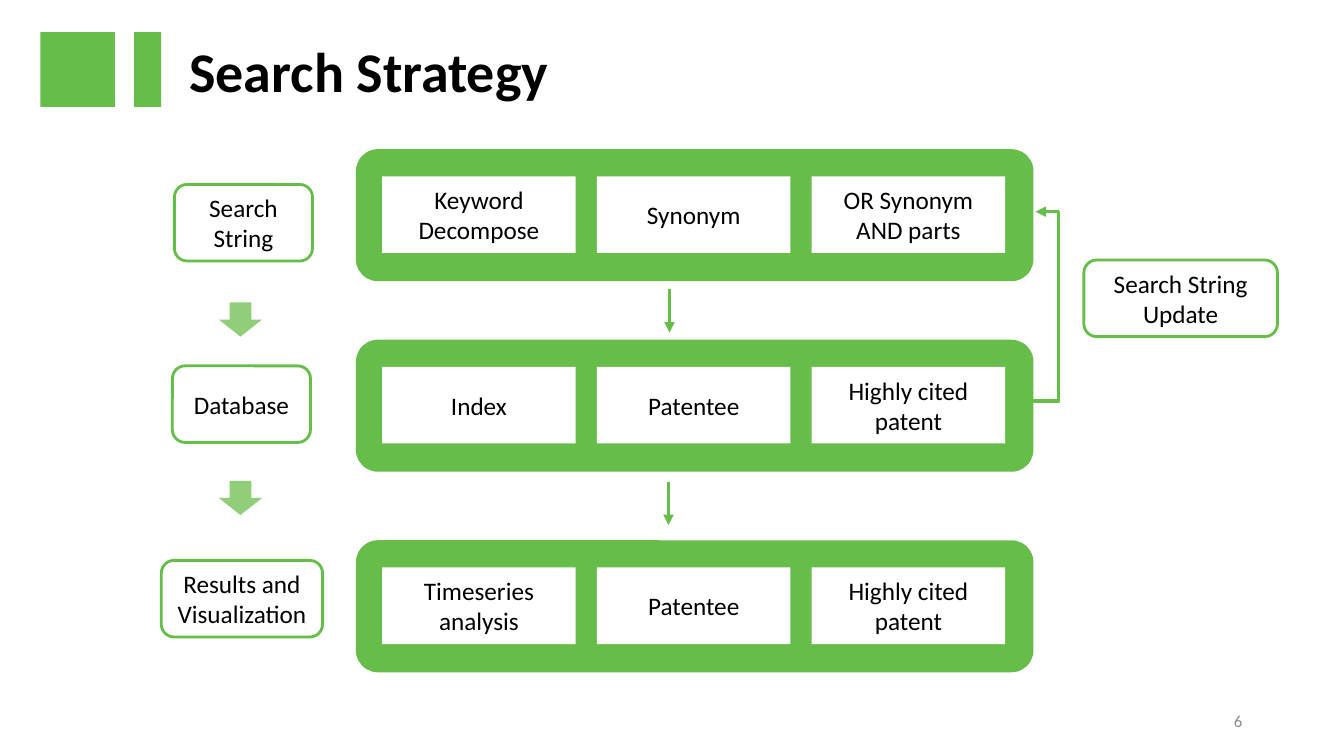
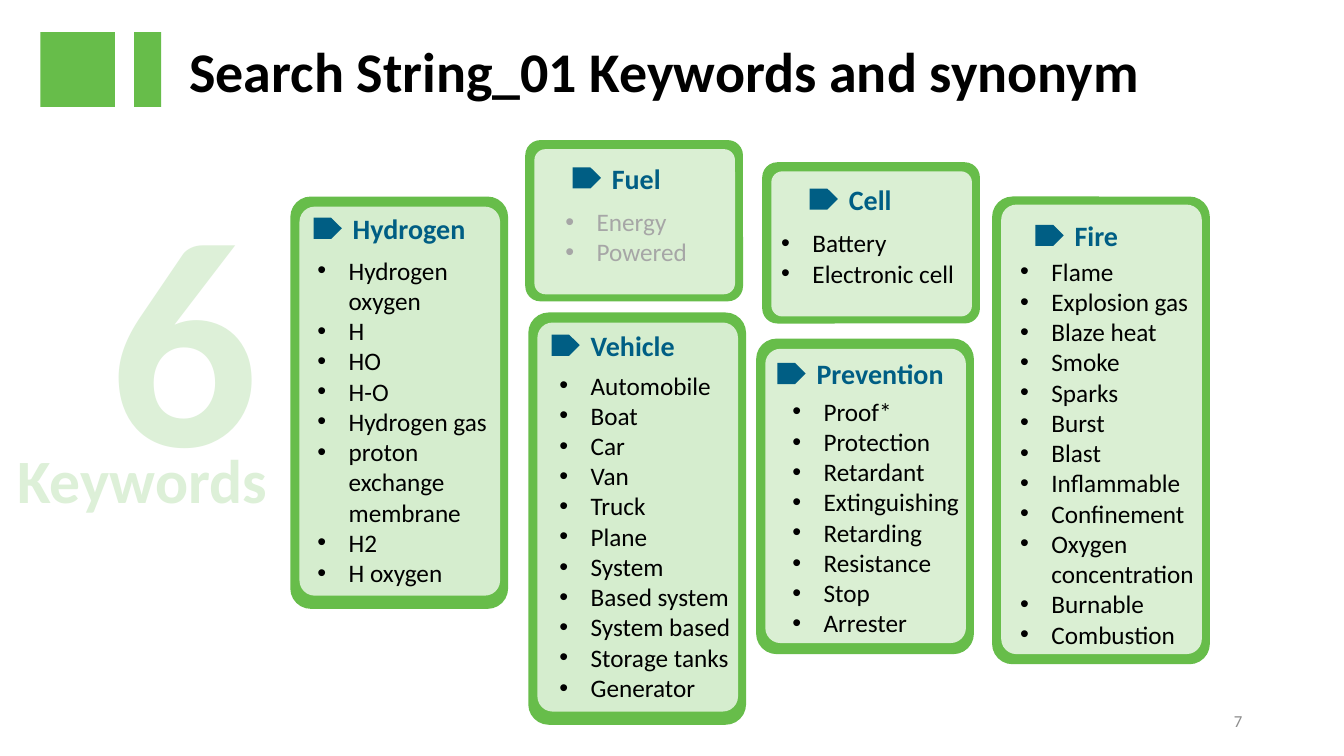
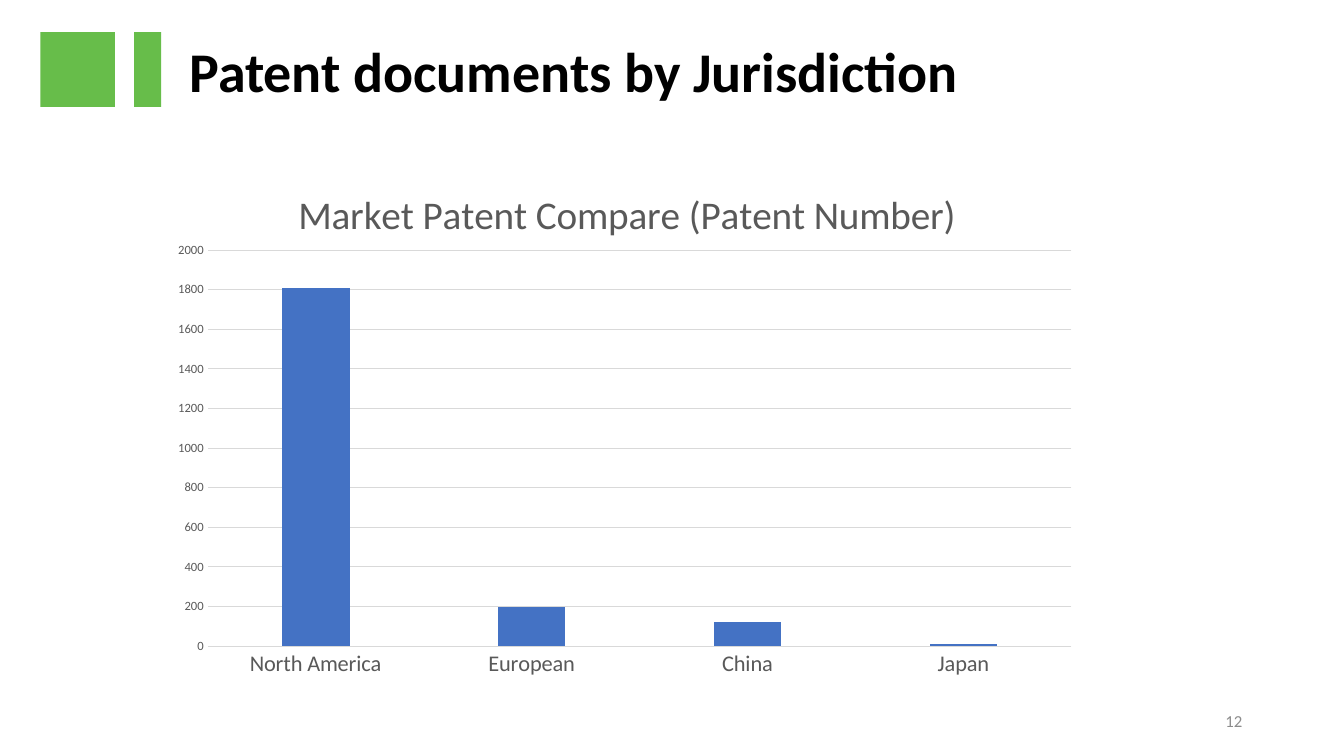
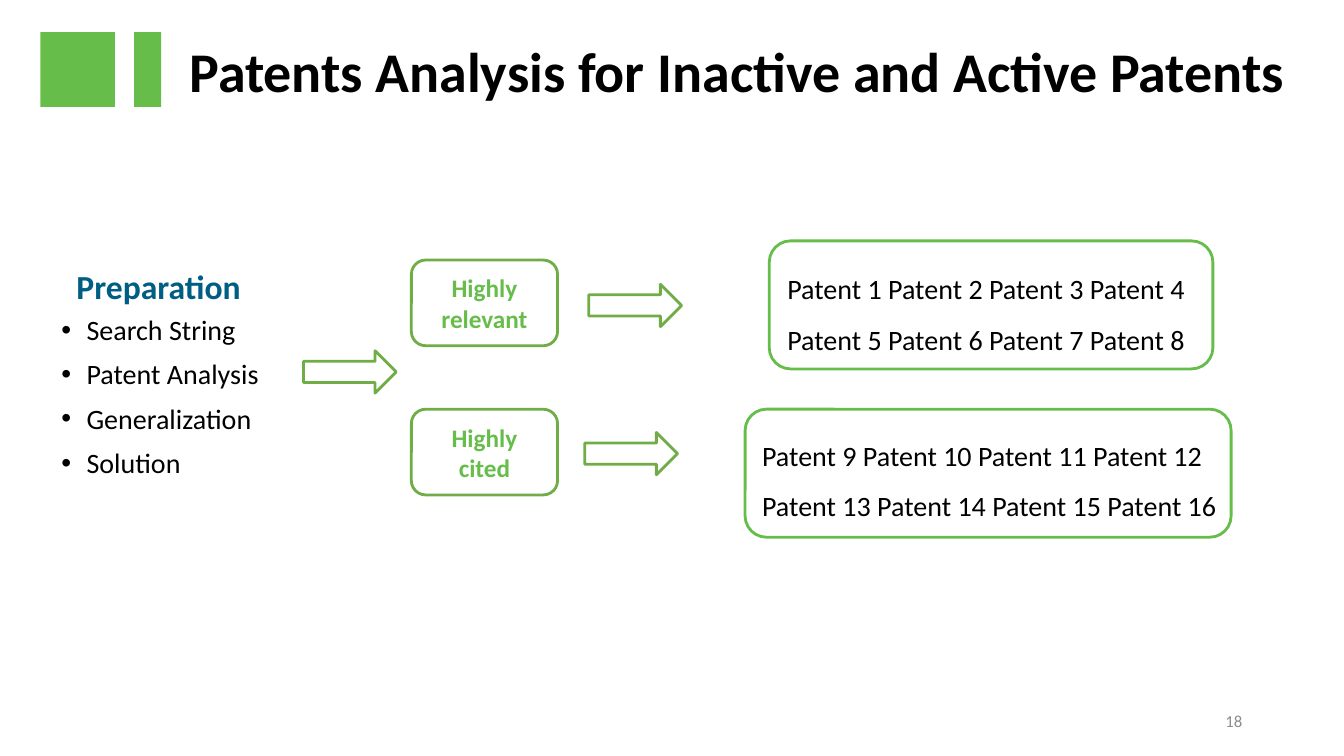
"""Build four slides on a patent search strategy and its results."""
from lxml import etree
from pptx import Presentation
from pptx.chart.data import CategoryChartData
from pptx.dml.color import RGBColor
from pptx.enum.chart import XL_CHART_TYPE as Kind, XL_TICK_MARK as Tick
from pptx.enum.shapes import MSO_CONNECTOR as Link, MSO_SHAPE as Form
from pptx.enum.text import MSO_ANCHOR as Anchor, PP_ALIGN as Align
from pptx.oxml.ns import qn
from pptx.util import Inches, Pt

FONT = "Calibri"
HUES = {
    "green": "67BD4A", "olive": "70AD47", "navy": "005E84", "white": "FFFFFF",
    "black": "000000", "pale": "DDF0D8", "faint": "A6A6A6", "page": "8C8C8C",
    "text": "595959", "grid": "D9D9D9", "bar": "4472C4",
}

STEPS = [
    (1.48, (1.73, 1.83, 1.37, 0.76), "Search String",
     ["Keyword Decompose", "Synonym", "OR Synonym AND parts"]),
    (3.37, (1.71, 3.63, 1.37, 0.76), "Database",
     ["Index", "Patentee", "Highly cited patent"]),
    (5.36, (1.6, 5.56, 1.6, 0.76), "Results and Visualization",
     ["Timeseries analysis", "Patentee", "Highly cited patent"]),
]
DROPS = [3, 4.77]
FLOWS = [(6.64, 2.87), (6.63, 4.78)]

PANELS = [
    {"head": "Hydrogen", "at": (2.88, 1.95, 4.09), "inner": (2.05, 3.86),
     "tag": (3.11, 2.16), "list": (3.05, 2.48), "alpha": 73,
     "words": ["Hydrogen oxygen", "H", "HO", "H-O", "Hydrogen gas",
               "proton exchange membrane", "H2", "H oxygen"]},
    {"head": "Fuel", "at": (5.21, 1.39, 1.6), "inner": (1.48, 1.44),
     "tag": (5.68, 1.66), "list": (5.51, 2), "hue": "faint",
     "words": ["Energy", "Powered"]},
    {"head": "Cell", "at": (7.56, 1.61, 1.6), "inner": (1.7, 1.44),
     "tag": (8.03, 1.87), "list": (7.65, 2.21),
     "words": ["Battery", "Electronic cell"]},
    {"head": "Vehicle", "at": (5.24, 3.1, 4.09), "inner": (3.2, 3.86),
     "tag": (5.47, 3.32), "list": (5.45, 3.62), "alpha": 73,
     "words": ["Automobile", "Boat", "Car", "Van", "Truck", "Plane", "System",
               "Based system", "System based", "Storage tanks", "Generator"]},
    {"head": "Fire", "at": (9.84, 1.95, 4.64), "inner": (2.03, 4.46),
     "tag": (10.27, 2.23), "list": (10.02, 2.49),
     "words": ["Flame", "Explosion gas", "Blaze heat", "Smoke", "Sparks",
               "Burst", "Blast", "Inflammable", "Confinement",
               "Oxygen concentration", "Burnable", "Combustion"]},
    {"head": "Prevention", "at": (7.5, 3.36, 3.13), "inner": (3.46, 2.92),
     "tag": (7.71, 3.6), "list": (7.76, 3.88),
     "words": ["Proof*", "Protection", "Retardant", "Extinguishing",
               "Retarding", "Resistance", "Stop", "Arrester"]},
]

MARKET = {"North America": 1810, "European": 200, "China": 120, "Japan": 10}

TASKS = ["Search String", "Patent Analysis", "Generalization", "Solution"]
GROUPS = [
    ("Highly relevant", 2.58, (7.63, 2.39, 4.4, 1.27), (7.71, 2.48, 4.25, 1.06),
     range(1, 9)),
    ("Highly cited", 4.06, (7.39, 4.06, 4.82, 1.27), (7.46, 4.13, 4.82, 1.06),
     range(9, 17)),
]
ARROWS = [(3.01, 3.48), (5.84, 2.82), (5.8, 4.29)]


def rgb(hue):
    return RGBColor.from_string(HUES[hue])


def style(font, size, hue, bold=False):
    font.name, font.size, font.bold = FONT, Pt(size), bold
    font.color.rgb = rgb(hue)


def write(frame, lines, size, hue, bold=False, align=None, indent=0,
          lead=None, gap=0):
    frame.word_wrap = True
    for i, line in enumerate(lines):
        para = frame.paragraphs[0] if i == 0 else frame.add_paragraph()
        para.text = line
        if align is not None:
            para.alignment = align
        if lead:
            para.line_spacing = lead
        if gap and i:
            para.space_before = Pt(gap)
        if indent:
            props = para._p.get_or_add_pPr()
            props.set("marL", str(Inches(indent)))
            props.set("indent", str(-Inches(indent)))
            etree.SubElement(props, qn("a:buFont")).set("typeface", "Arial")
            etree.SubElement(props, qn("a:buChar")).set("char", "•")
        style(para.font, size, hue, bold)


def label(slide, at, lines, size, hue, anchor=Anchor.TOP, **opts):
    frame = slide.shapes.add_textbox(*map(Inches, at)).text_frame
    frame.vertical_anchor = anchor
    write(frame, lines, size, hue, **opts)


def block(slide, form, at, fill, line=None, alpha=None, adj=None, text=None,
          hue="black", bold=False):
    shape = slide.shapes.add_shape(form, *map(Inches, at))
    shape.shadow.inherit = False
    shape.fill.solid()
    shape.fill.fore_color.rgb = rgb(fill)
    if alpha:
        color = shape.fill._xPr.find(".//" + qn("a:srgbClr"))
        etree.SubElement(color, qn("a:alpha")).set("val", str(alpha * 1000))
    if line:
        shape.line.color.rgb = rgb(line)
        shape.line.width = Pt(2)
    else:
        shape.line.fill.background()
    if adj:
        shape.adjustments[0] = adj
    if text:
        shape.text_frame.vertical_anchor = Anchor.MIDDLE
        write(shape.text_frame, [text], 18, hue, bold, Align.CENTER)


def arrow(slide, kind, ends, bend=None):
    wire = slide.shapes.add_connector(kind, *map(Inches, ends))
    wire.line.color.rgb = rgb("green")
    wire.line.width = Pt(2.5)
    props = wire._element.spPr
    etree.SubElement(props.find(qn("a:ln")), qn("a:tailEnd")).set("type", "triangle")
    etree.SubElement(props, qn("a:effectLst"))
    if bend:
        geom = props.find(qn("a:prstGeom"))
        guide = etree.SubElement(geom.find(qn("a:avLst")), qn("a:gd"))
        guide.set("name", "adj1")
        guide.set("fmla", f"val {bend}")


def start(deck, title, page):
    slide = deck.slides.add_slide(deck.slide_layouts[6])
    for left, width in ((0.4, 0.74), (1.33, 0.27)):
        block(slide, Form.RECTANGLE, (left, 0.32, width, 0.74), "green")
    label(slide, (1.78, 0.31, 11.3, 0.77), [title], 40, "black", bold=True)
    label(slide, (9.42, 6.95, 3, 0.4), [str(page)], 12, "page", Anchor.MIDDLE,
          align=Align.RIGHT)
    return slide


def strategy(slide):
    for top, at, name, cells in STEPS:
        block(slide, Form.ROUNDED_RECTANGLE, (3.53, top, 6.72, 1.31), "green")
        block(slide, Form.ROUNDED_RECTANGLE, at, "white", "green", text=name)
        for i, cell in enumerate(cells):
            block(slide, Form.RECTANGLE, (3.79 + 2.13 * i, top + 0.27, 1.92, 0.76),
                  "white", text=cell)
    block(slide, Form.ROUNDED_RECTANGLE, (10.75, 2.58, 1.92, 0.76), "white",
          "green", text="Search String Update")
    for top in DROPS:
        block(slide, Form.DOWN_ARROW, (2.17, top, 0.43, 0.34), "green", alpha=73)
    for x, y in FLOWS:
        arrow(slide, Link.STRAIGHT, (x, y, x, y + 0.43))
    arrow(slide, Link.ELBOW, (10.25, 3.98, 10.27, 2.1), bend=1250000)


def keywords(slide):
    label(slide, (0.33, 1.46, 3, 3.6), ["6"], 210, "pale", bold=True,
          align=Align.CENTER)
    label(slide, (0.01, 4.33, 2.8, 0.85), ["Keywords"], 44, "pale", bold=True,
          align=Align.CENTER)
    for panel in PANELS:
        left, top, height = panel["at"]
        inner, depth = panel["inner"]
        x, y = panel["tag"]
        block(slide, Form.ROUNDED_RECTANGLE, (left, top, 2.16, height), "green",
              adj=0.094)
        block(slide, Form.ROUNDED_RECTANGLE, (left + 0.09, inner, 1.99, depth),
              "white", alpha=panel.get("alpha", 76), adj=0.076)
        block(slide, Form.PENTAGON, (x, y, 0.28, 0.21), "navy")
        label(slide, (x + 0.29, y - 0.11, 1.75, 0.44), [panel["head"]], 20,
              "navy", bold=True)
        words = panel["words"]
        label(slide, (*panel["list"], 1.95, 0.1 + 0.3 * len(words)), words, 18,
              panel.get("hue", "black"), indent=0.31)


def place(parent, index, target=None, **spots):
    for old in parent.findall(qn("c:layout")):
        parent.remove(old)
    layout = etree.Element(qn("c:layout"))
    parent.insert(index, layout)
    manual = etree.SubElement(layout, qn("c:manualLayout"))
    modes = {"xMode": "edge", "yMode": "edge"}
    if target:
        modes = {"layoutTarget": target, **modes}
    for name, value in {**modes, **spots}.items():
        etree.SubElement(manual, qn("c:" + name)).set("val", str(value))


def market(slide):
    data = CategoryChartData()
    data.categories = list(MARKET)
    data.add_series("Series 1", list(MARKET.values()))
    spot = map(Inches, (1.6, 1.59, 9.21, 5.24))
    chart = slide.shapes.add_chart(Kind.COLUMN_CLUSTERED, *spot, data).chart
    style(chart.font, 10, "black")
    chart.has_legend = False
    chart.has_title = True
    write(chart.chart_title.text_frame, ["Market Patent Compare (Patent Number)"],
          28, "text")
    place(chart.chart_title._element, 1, x=0.14, y=0.04)
    place(chart._chartSpace.chart.plotArea, 0, "inner", x=0.05, y=0.17, w=0.93, h=0.75)
    plot = chart.plots[0]
    plot.vary_by_categories = False
    plot.gap_width, plot.overlap = 219, -27
    fill = plot.series[0].format.fill
    fill.solid()
    fill.fore_color.rgb = rgb("bar")
    cats, vals = chart.category_axis, chart.value_axis
    vals.minimum_scale, vals.maximum_scale, vals.major_unit = 0, 2000, 200
    for axis, size in ((cats, 16), (vals, 9)):
        axis.major_tick_mark = axis.minor_tick_mark = Tick.NONE
        style(axis.tick_labels.font, size, "text")
    vals.format.line.fill.background()
    for line in (cats.format.line, vals.major_gridlines.format.line):
        line.color.rgb = rgb("grid")
        line.width = Pt(0.75)


def analysis(slide):
    label(slide, (0.66, 2.59, 2.36, 0.5), ["Preparation"], 24, "navy", bold=True)
    label(slide, (0.51, 3.09, 2.95, 1.94), TASKS, 20, "black", indent=0.25,
          lead=0.9, gap=10)
    for name, top, frame, inner, nums in GROUPS:
        block(slide, Form.ROUNDED_RECTANGLE, (4.08, top, 1.45, 0.85), "white",
              "olive", text=name, hue="green", bold=True)
        block(slide, Form.ROUNDED_RECTANGLE, frame, "white", "green")
        label(slide, inner, [" ".join(f"Patent {n}" for n in nums)], 20, "black",
              lead=1.5)
    for spot in ARROWS:
        block(slide, Form.RIGHT_ARROW, (*spot, 0.92, 0.42), "white", "olive")


PAGES = [
    ("Search Strategy", 6, strategy),
    ("Search String_01 Keywords and synonym", 7, keywords),
    ("Patent documents by Jurisdiction", 12, market),
    ("Patents Analysis for Inactive and Active Patents", 18, analysis),
]


def main():
    deck = Presentation()
    deck.slide_width, deck.slide_height = Inches(13.33), Inches(7.5)
    for title, page, build in PAGES:
        build(start(deck, title, page))
    deck.save("out.pptx")


if __name__ == "__main__":
    main()
